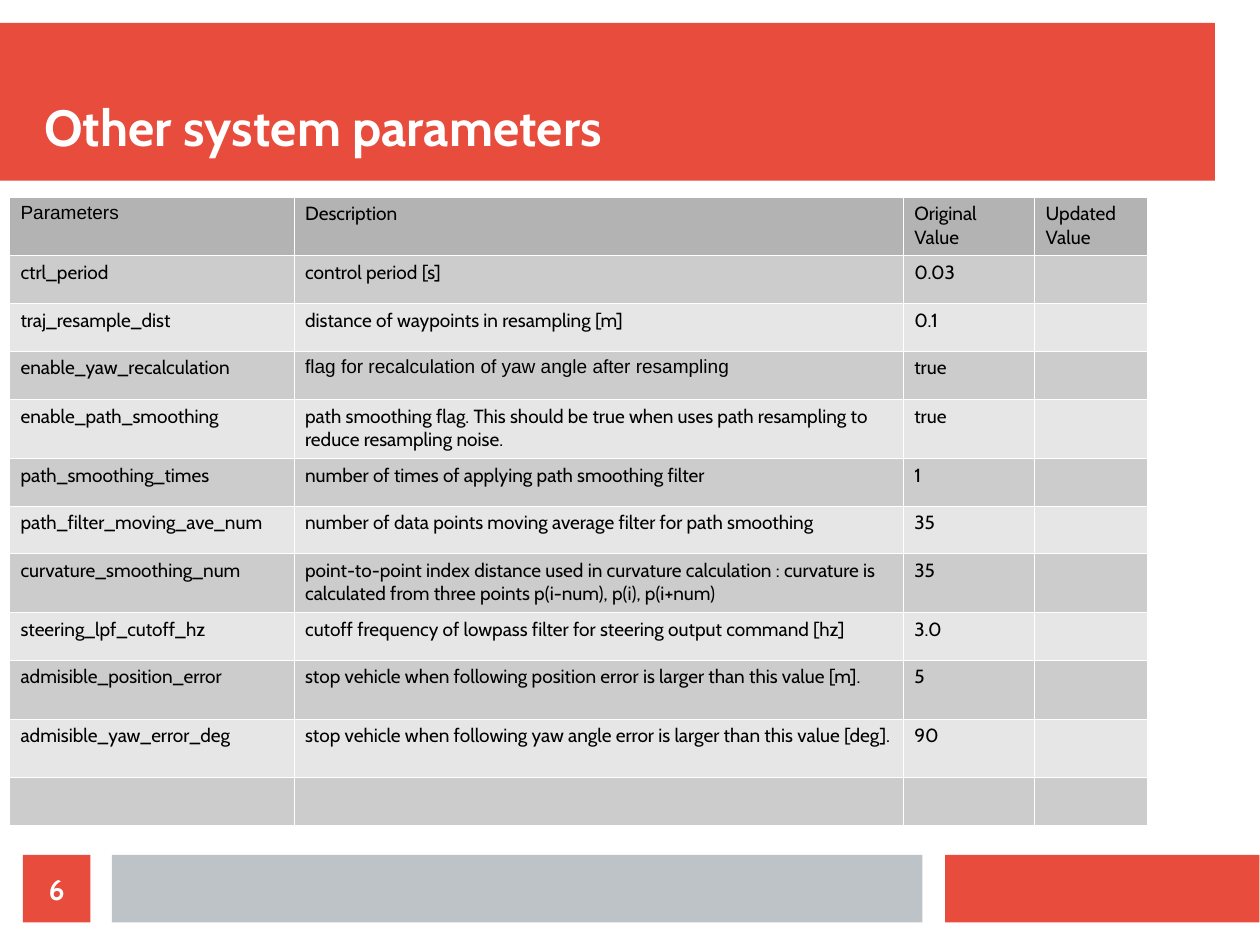
from lxml import etree
from pptx import Presentation
from pptx.dml.color import RGBColor
from pptx.enum.shapes import MSO_SHAPE
from pptx.enum.text import MSO_ANCHOR, PP_ALIGN
from pptx.oxml.ns import qn
from pptx.util import Inches, Pt

RECT = MSO_SHAPE.RECTANGLE
BOTTOM, MIDDLE = MSO_ANCHOR.BOTTOM, MSO_ANCHOR.MIDDLE
LEFT, CENTER = PP_ALIGN.LEFT, PP_ALIGN.CENTER

COLORS = {
    "red": "E74C3C", "gray": "BDC3C7", "white": "FFFFFF", "black": "000000",
    "head": "B3B3B3", "dark": "CCCCCC", "light": "E6E6E6",
}
TITLE = {"name": "Cabin", "size": Pt(32), "bold": True}
NUMBER = {"name": "Cabin", "size": Pt(18), "bold": True}
BODY = {"name": "Cabin", "size": Pt(12)}
PLAIN = {"name": "Arial", "size": Pt(12)}

COLS = [2.49, 5.33, 1.15, 0.99]
LOW, MID, TALL = 0.42, 0.43, 0.52
# Relative row height, then the texts of the filled cells
ROWS = [
    (TALL, "Parameters", "Description", "Original Value", "Updated Value"),
    (LOW, "ctrl_period", "control period [s]", "0.03"),
    (LOW, "traj_resample_dist", "distance of waypoints in resampling [m]", "0.1"),
    (MID, "enable_yaw_recalculation",
     "flag for recalculation of yaw angle after resampling", "true"),
    (TALL, "enable_path_smoothing",
     "path smoothing flag. This should be true when uses path resampling to "
     "reduce resampling noise.", "true"),
    (LOW, "path_smoothing_times",
     "number of times of applying path smoothing filter", "1"),
    (LOW, "path_filter_moving_ave_num",
     "number of data points moving average filter for path smoothing", "35"),
    (TALL, "curvature_smoothing_num",
     "point-to-point index distance used in curvature calculation : curvature is "
     "calculated from three points p(i-num), p(i), p(i+num)", "35"),
    (LOW, "steering_lpf_cutoff_hz",
     "cutoff frequency of lowpass filter for steering output command [hz]", "3.0"),
    (TALL, "admisible_position_error",
     "stop vehicle when following position error is larger than this value [m].", "5"),
    (TALL, "admisible_yaw_error_deg",
     "stop vehicle when following yaw angle error is larger than this value [deg].",
     "90"),
    (LOW,),
]
ARIAL = {(0, 0), (3, 1)}  # cells set in Arial


def rgb(color):
    return RGBColor.from_string(COLORS[color])


def write(para, text, style, color):
    run = para.add_run()
    run.text = text
    for key, value in style.items():
        setattr(run.font, key, value)
    run.font.color.rgb = rgb(color)


def block(slide, box, color):
    shape = slide.shapes.add_shape(RECT, *map(Inches, box))
    shape.shadow.inherit = False
    shape.fill.solid()
    shape.fill.fore_color.rgb = rgb(color)
    shape.line.fill.background()
    return shape


def label(shape, text, style, anchor, align):
    """Write white text into a shape without margins."""
    frame = shape.text_frame
    form = {"word_wrap": True, "vertical_anchor": anchor, "margin_left": 0,
            "margin_right": 0, "margin_top": 0, "margin_bottom": 0}
    for key, value in form.items():
        setattr(frame, key, value)
    para = frame.paragraphs[0]
    para.alignment = align
    write(para, text, style, "white")


def header(slide, box, title):
    left, top, width, height = box
    block(slide, box, "red")
    area = (left + 0.39, top + 0.19, width - 0.39, height - 0.4)
    text = slide.shapes.add_textbox(*map(Inches, area))
    label(text, title, TITLE, BOTTOM, LEFT)


def footer(slide, box, number):
    left, top, width, side = box
    gap, bar = 0.19, 7.09
    mid = left + side + gap
    end = mid + bar + gap + 0.01
    block(slide, (end, top, left + width - end, side), "red")
    block(slide, (mid, top, bar, side), "gray")
    label(block(slide, (left, top, side, side), "red"), number, NUMBER, MIDDLE, CENTER)


def border(cell):
    """Give a cell thin white lines on all sides."""
    props = cell._tc.get_or_add_tcPr()
    for spot, side in enumerate(("lnL", "lnR", "lnT", "lnB")):
        line = etree.Element(qn(f"a:{side}"), w=str(Pt(0.06)))
        fill = etree.SubElement(line, qn("a:solidFill"))
        etree.SubElement(fill, qn("a:srgbClr"), val=COLORS["white"])
        props.insert(spot, line)


def grid(slide, box):
    """Draw the table, with its rows scaled to the height of the box."""
    frame = slide.shapes.add_table(len(ROWS), len(COLS), *map(Inches, box))
    table = frame.table
    scale = box[3] / sum(row[0] for row in ROWS)
    for col, width in zip(table.columns, COLS):
        col.width = Inches(width)
    for r, (height, *texts) in enumerate(ROWS):
        table.rows[r].height = Inches(height * scale)
        band = "head" if r == 0 else "dark" if r % 2 else "light"
        for c in range(len(COLS)):
            cell = table.cell(r, c)
            cell.fill.solid()
            cell.fill.fore_color.rgb = rgb(band)
            border(cell)
            if c < len(texts):
                style = PLAIN if (r, c) in ARIAL else BODY
                write(cell.text_frame.paragraphs[0], texts[c], style, "black")


def main():
    deck = Presentation()
    deck.slide_width, deck.slide_height = Pt(793.75), Pt(595.25)
    slide = deck.slides.add_slide(deck.slide_layouts[6])
    header(slide, (0, 0.2, 10.63, 1.38), "Other system parameters")
    grid(slide, (0.08, 1.72, sum(COLS), 5.5))
    footer(slide, (0.2, 7.48, 10.82, 0.59), "6")
    deck.save("out.pptx")


if __name__ == "__main__":
    main()
